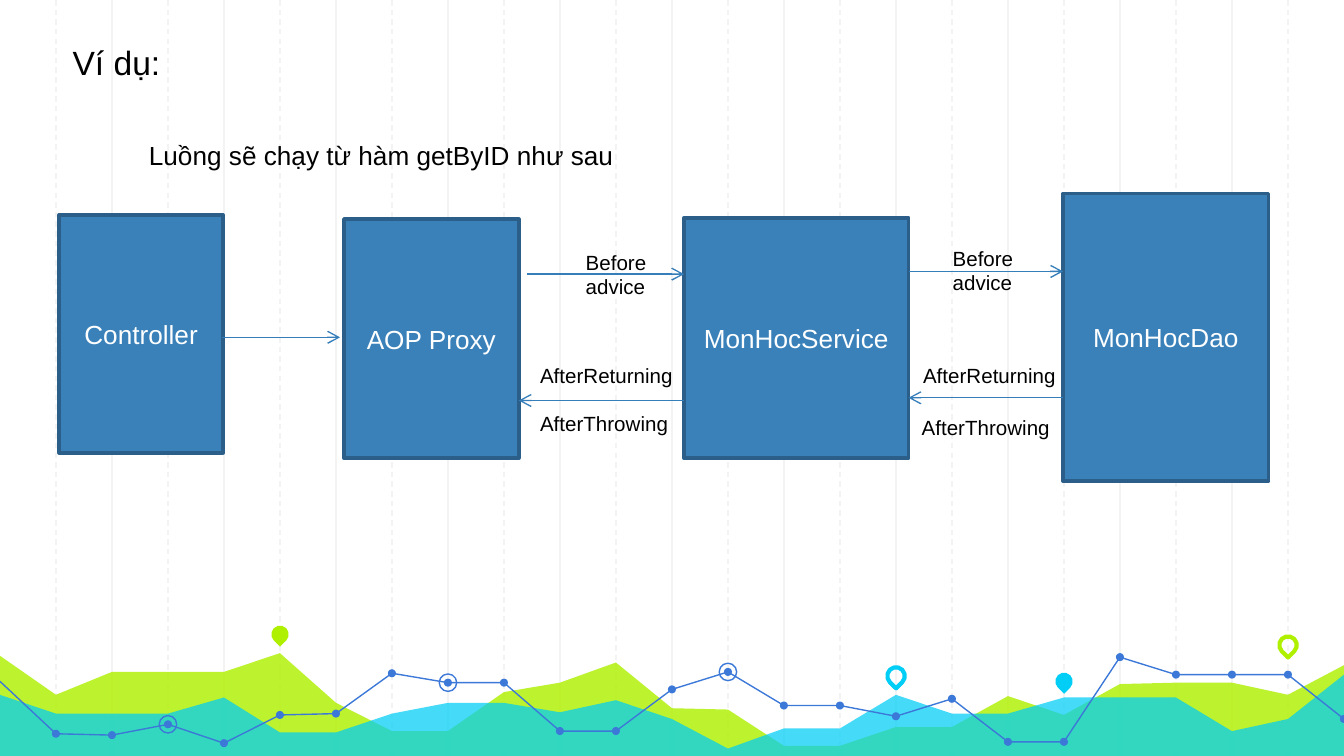
from pptx import Presentation
from pptx.dml.color import RGBColor
from pptx.enum.dml import MSO_LINE
from pptx.enum.shapes import MSO_CONNECTOR, MSO_SHAPE
from pptx.enum.text import MSO_ANCHOR, MSO_AUTO_SIZE, PP_ALIGN
from pptx.oxml.ns import qn
from pptx.util import Inches, Pt
from lxml import etree

STRAIGHT = MSO_CONNECTOR.STRAIGHT
RECTANGLE, OVAL, TEARDROP = MSO_SHAPE.RECTANGLE, MSO_SHAPE.OVAL, MSO_SHAPE.TEAR
DASH = MSO_LINE.DASH
LEFT, CENTER = PP_ALIGN.LEFT, PP_ALIGN.CENTER
TOP, MIDDLE = MSO_ANCHOR.TOP, MSO_ANCHOR.MIDDLE
NO_AUTOFIT = MSO_AUTO_SIZE.NONE

THEME = {
    "font": "Arial",
    "title_size": 18, "body_size": 14, "label_size": 11,
    "text": "000000", "box_text": "FFFFFF",
    "box": "3A81BA", "box_line": "2B5F8A", "arrow": "367EB9",
    "grid": "F3F3F3", "green": "AFF000", "cyan": "00CEF6", "series": "3C78D8",
    "thin": 0.75, "box_width": 2, "pin_width": 2.25,
}

WIDTH = 10
HEIGHT = WIDTH * 9 / 16
COLUMNS = 24
STEP = WIDTH / COLUMNS
DOT, RING, PIN = 0.06, 0.13, 0.13

# Heights at each grid column, from the left edge to the right edge
AREAS = [
    ("green", 82, [4.88, 5.17, 5, 5, 5, 4.86, 5.23, 5.44, 5.44, 5.15, 5.08, 4.93, 5.27,
                   5.28, 5.55, 5.55, 5.41, 5.41, 5.18, 5.32, 5.09, 5.08, 5.08, 5.17, 4.95]),
    ("cyan", 73, [5.17, 5.31, 5.31, 5.31, 5.19, 5.45, 5.45, 5.31, 5.23, 5.23, 5.3, 5.21, 5.35,
                  5.57, 5.42, 5.42, 5.17, 5.31, 5.31, 5.19, 5.19, 5.19, 5.44, 5.35, 5.02]),
]
SERIES = [5.07, 5.46, 5.47, 5.39, 5.53, 5.32, 5.31, 5.01, 5.08, 5.08, 5.44, 5.44, 5.13,
          5, 5.25, 5.25, 5.33, 5.2, 5.52, 5.52, 4.89, 5.02, 5.02, 5.02, 5.35]
RINGED_COLUMNS = [3, 8, 13]
PINS = [  # column, centre height, colour, filled
    (5, 4.72, "green", True), (16, 5.03, "cyan", False),
    (19, 5.07, "cyan", True), (23, 4.8, "green", False),
]

TITLE = ("Ví dụ:", 0.44, 0.26, 5.57, 0.4)
SUBTITLE = ("Luồng sẽ chạy từ hàm getByID như sau", 1.01, 0.99, 4.4, 0.34)
BOXES = [
    ("Controller", 0.44, 1.6, 1.22, 1.77),
    ("AOP Proxy", 2.56, 1.63, 1.3, 1.78),
    ("MonHocService", 5.09, 1.62, 1.67, 1.79),
    ("MonHocDao", 7.91, 1.44, 1.53, 2.14),
]
ARROWS = [  # from x, to x, y
    (1.65, 2.53, 2.51),
    (3.92, 5.09, 2.04), (6.76, 7.91, 2.02),
    (7.91, 6.76, 2.96), (5.09, 3.86, 2.98),
]
LABELS = [
    ("Before advice", 4.26, 1.81, 0.83, 0.47),
    ("Before advice", 6.99, 1.78, 0.83, 0.47),
    ("AfterReturning", 3.92, 2.65, 1.27, 0.29),
    ("AfterReturning", 6.77, 2.65, 1.27, 0.29),
    ("AfterThrowing", 3.92, 3.01, 1.27, 0.29),
    ("AfterThrowing", 6.76, 3.04, 1.27, 0.29),
]


def color(name):
    return RGBColor.from_string(THEME[name])


def style(shape, fill=None, line=None, width="thin"):
    shape.shadow.inherit = False
    if fill:
        shape.fill.solid()
        shape.fill.fore_color.rgb = color(fill)
    else:
        shape.fill.background()
    if line:
        shape.line.color.rgb = color(line)
        shape.line.width = Pt(THEME[width])
    else:
        shape.line.fill.background()


def write(shape, text, size, text_color="text", align=LEFT, anchor=TOP):
    frame = shape.text_frame
    frame.text = text
    frame.word_wrap = True
    frame.auto_size = NO_AUTOFIT
    frame.vertical_anchor = anchor
    paragraph = frame.paragraphs[0]
    paragraph.alignment = align
    paragraph.font.name = THEME["font"]
    paragraph.font.size = Pt(THEME[size])
    paragraph.font.color.rgb = color(text_color)


def add_text(slide, text, left, top, width, height, size):
    box = slide.shapes.add_textbox(*map(Inches, (left, top, width, height)))
    write(box, text, size)


def add_line(slide, x1, y1, x2, y2, line_color):
    line = slide.shapes.add_connector(STRAIGHT, *map(Inches, (x1, y1, x2, y2)))
    line.line.color.rgb = color(line_color)
    line.line.width = Pt(THEME["thin"])
    etree.SubElement(line._element.spPr, qn("a:effectLst"))
    return line


def add_arrow(slide, start, end, y):
    arrow = add_line(slide, start, y, end, y, "arrow")
    outline = arrow._element.spPr.find(qn("a:ln"))
    etree.SubElement(outline, qn("a:tailEnd"), type="arrow")


def add_centered(slide, kind, x, y, size):
    return slide.shapes.add_shape(
        kind, *map(Inches, (x - size / 2, y - size / 2, size, size)))


def add_outline(slide, points, close):
    points = [(Inches(x), Inches(y)) for x, y in points]
    builder = slide.shapes.build_freeform(*points[0])
    builder.add_line_segments(points[1:], close=close)
    return builder.convert_to_shape()


def on_grid(heights):
    return [(column * STEP, y) for column, y in enumerate(heights)]


def draw_background(slide):
    for column in range(1, COLUMNS):
        line = add_line(slide, column * STEP, 0, column * STEP, HEIGHT, "grid")
        if column % 2:
            line.line.dash_style = DASH
    for name, opacity, heights in AREAS:
        corners = [(WIDTH, HEIGHT), (0, HEIGHT)]
        area = add_outline(slide, on_grid(heights) + corners, True)
        style(area, fill=name)
        fill_color = area._element.spPr.find(qn("a:solidFill"))[0]
        etree.SubElement(fill_color, qn("a:alpha"), val=str(opacity * 1000))
    for column, y, name, filled in PINS:
        pin = add_centered(slide, TEARDROP, column * STEP, y, PIN)
        pin.rotation = 135
        if filled:
            style(pin, fill=name)
        else:
            style(pin, line=name, width="pin_width")
    points = on_grid(SERIES)
    style(add_outline(slide, points, False), line="series")
    for x, y in points[1:]:
        style(add_centered(slide, OVAL, x, y, DOT), fill="series")
    for column in RINGED_COLUMNS:
        style(add_centered(slide, OVAL, *points[column], RING), line="series")


def draw_flow(slide):
    for text, *place in BOXES:
        box = slide.shapes.add_shape(RECTANGLE, *map(Inches, place))
        style(box, "box", "box_line", "box_width")
        write(box, text, "body_size", "box_text", CENTER, MIDDLE)
    for arrow in ARROWS:
        add_arrow(slide, *arrow)
    for label in LABELS:
        add_text(slide, *label, "label_size")


def main():
    presentation = Presentation()
    presentation.slide_width = Inches(WIDTH)
    presentation.slide_height = Inches(HEIGHT)
    slide = presentation.slides.add_slide(presentation.slide_layouts[5])
    draw_background(slide)

    title = slide.shapes.title
    text, *place = TITLE
    title.left, title.top, title.width, title.height = map(Inches, place)
    write(title, text, "title_size")
    slide.shapes._spTree.append(title._element)  # bring in front of the grid

    add_text(slide, *SUBTITLE, "body_size")
    draw_flow(slide)
    presentation.save("out.pptx")


if __name__ == "__main__":
    main()
